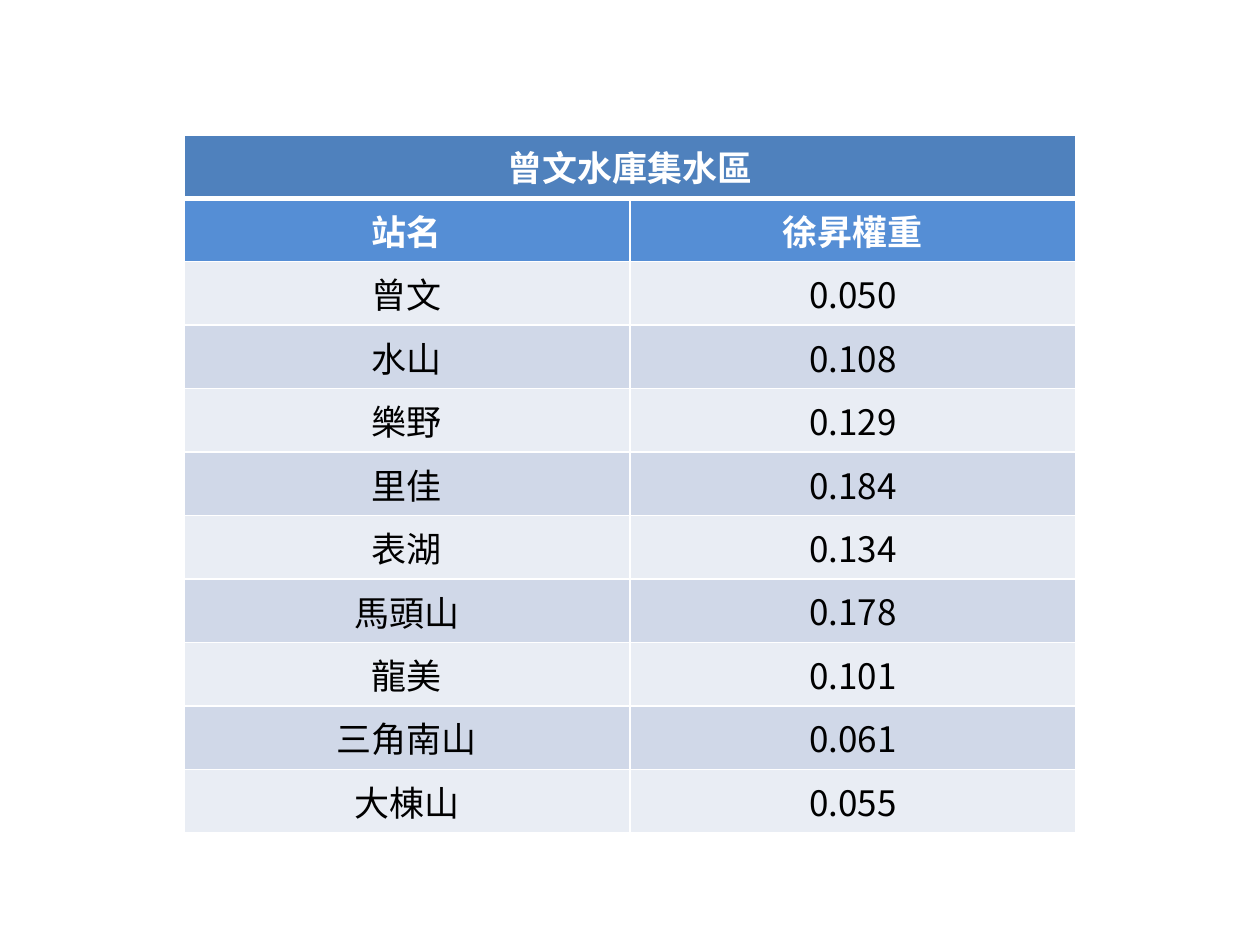
import pptx
import pptx.dml.color
import pptx.enum.text
import pptx.oxml
import pptx.oxml.ns
import pptx.util

TITLE = "曾文水庫集水區"
HEADINGS = ("站名", "徐昇權重")
STATIONS = [
    ("曾文", "0.050"),
    ("水山", "0.108"),
    ("樂野", "0.129"),
    ("里佳", "0.184"),
    ("表湖", "0.134"),
    ("馬頭山", "0.178"),
    ("龍美", "0.101"),
    ("三角南山", "0.061"),
    ("大棟山", "0.055"),
]

FONT = "Noto Sans CJK SC"
WHITE, BLACK = "FFFFFF", "000000"
TITLE_FILL, HEADING_FILL = "4F81BD", "558ED5"
BANDS = ("E9EDF4", "D0D8E8")
LEFT, TOP, COLUMN, ROW = 1.46, 1.07, 3.54, 0.47
THIN, THICK = 1, 3
NAME_FORMAT = {
    "vertical_anchor": pptx.enum.text.MSO_ANCHOR.MIDDLE,
    "margin_left": pptx.util.Inches(0.07),
    "margin_right": pptx.util.Inches(0.07),
    "margin_top": 0,
    "margin_bottom": 0,
}


def colour(code):
    """Turn a hex string into a colour."""
    return pptx.dml.color.RGBColor.from_string(code)


def apply(target, values):
    """Set each attribute in values on target."""
    for name, value in values.items():
        setattr(target, name, value)


def set_borders(cell, widths):
    """Draw white cell borders; widths maps each side to points."""
    properties = cell._tc.get_or_add_tcPr()
    for side, width in widths.items():
        properties.append(pptx.oxml.parse_xml(
            f'<a:ln{side} {pptx.oxml.ns.nsdecls("a")} w="{pptx.util.Pt(width)}">'
            f'<a:solidFill><a:srgbClr val="{WHITE}"/></a:solidFill></a:ln{side}>'))


def style_cell(cell, fill, widths):
    """Give a cell its borders and fill."""
    set_borders(cell, widths)
    cell.fill.solid()
    cell.fill.fore_color.rgb = colour(fill)


def write(cell, text, is_header):
    """Write centred text in a cell."""
    para = cell.text_frame.paragraphs[0]
    para.alignment = pptx.enum.text.PP_ALIGN.CENTER
    span = para.add_run()
    span.text = text
    apply(span.font, {"name": FONT, "size": pptx.util.Pt(20), "bold": is_header})
    span.font.color.rgb = colour(WHITE if is_header else BLACK)
    span.font._element.append(pptx.oxml.parse_xml(
        f'<a:ea {pptx.oxml.ns.nsdecls("a")} typeface="{FONT}"/>'))


def build_table(page):
    """Add the table of station weights."""
    rows = [(TITLE, ""), HEADINGS, *STATIONS]
    fills = [TITLE_FILL, HEADING_FILL]
    fills += [BANDS[index % 2] for index in range(len(STATIONS))]
    table = page.shapes.add_table(
        len(rows), 2, *map(pptx.util.Inches, (LEFT, TOP, 2 * COLUMN, len(rows) * ROW))
    ).table
    for column in table.columns:
        column.width = pptx.util.Inches(COLUMN)
    for index, (texts, fill) in enumerate(zip(rows, fills)):
        table.rows[index].height = pptx.util.Inches(ROW)
        widths = {"L": THIN, "R": THIN,
                  "T": THICK if index == 1 else THIN,
                  "B": THICK if index == 0 else THIN}
        for place, text in enumerate(texts):
            cell = table.cell(index, place)
            style_cell(cell, fill, widths)
            if text:
                write(cell, text, index < 2)
            if index > 1 and place == 0:
                apply(cell, NAME_FORMAT)
    table.cell(0, 0).merge(table.cell(0, 1))


deck = pptx.Presentation()
apply(deck, {"slide_width": pptx.util.Inches(10), "slide_height": pptx.util.Inches(7.5)})
build_table(deck.slides.add_slide(deck.slide_layouts[6]))
deck.save("out.pptx")
